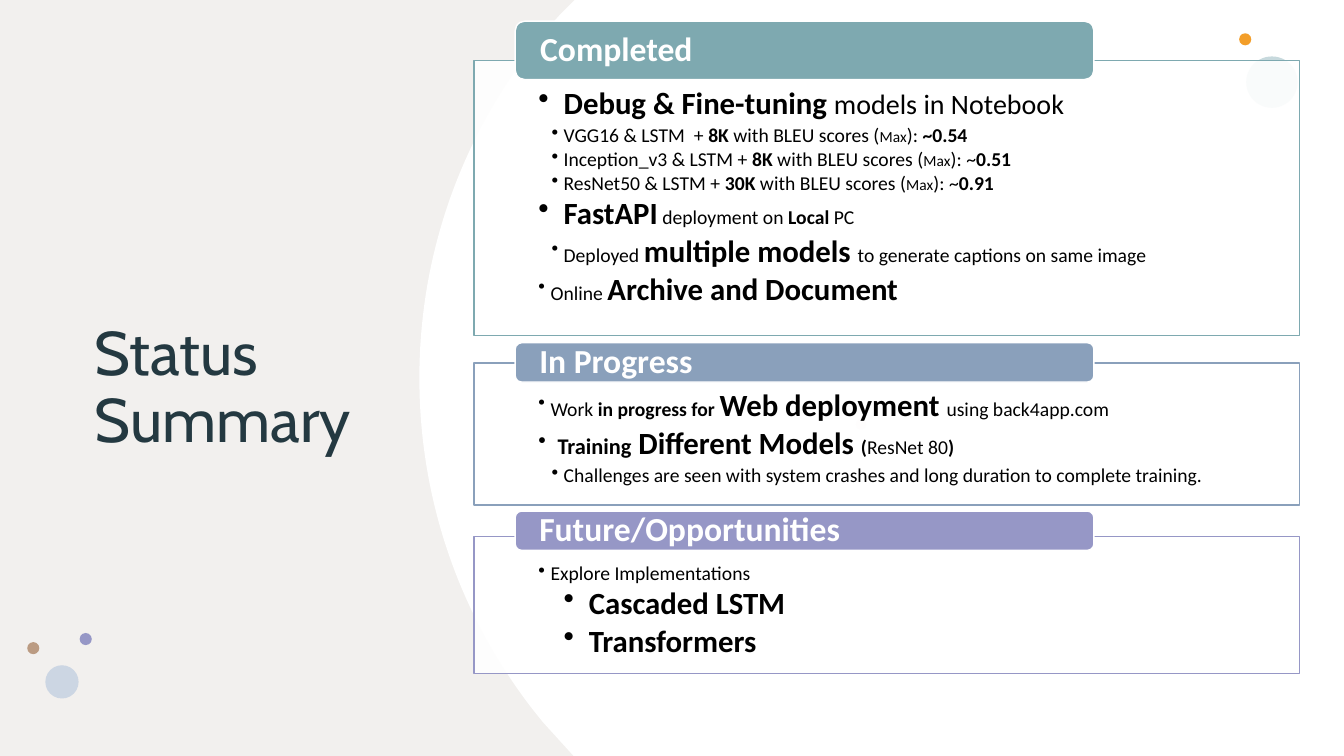
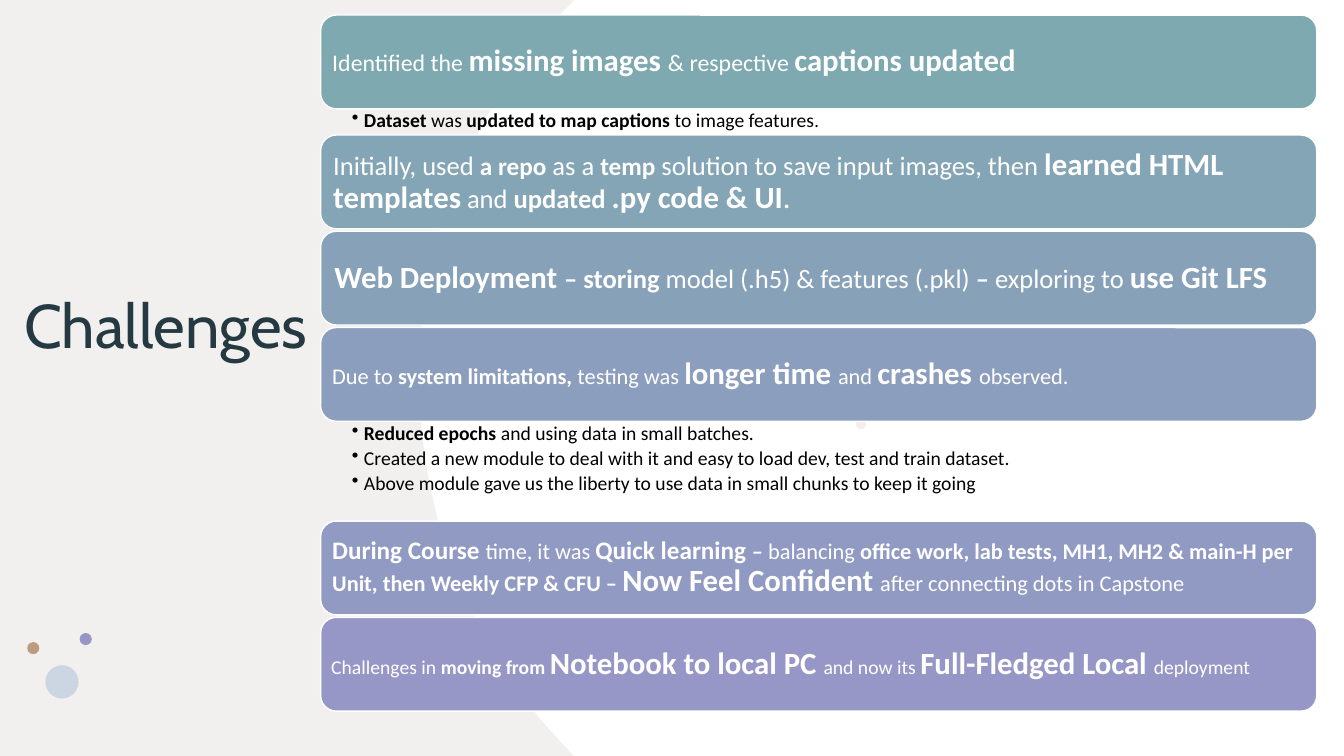
from lxml import etree
from pptx import Presentation
from pptx.dml.color import RGBColor
from pptx.enum import shapes, text
from pptx.oxml import ns
from pptx.util import Inches, Pt

WHITE = RGBColor(0xFF, 0xFF, 0xFF)
BLACK = RGBColor(0x00, 0x00, 0x00)
NAVY = RGBColor(0x24, 0x39, 0x41)
SAND = RGBColor(0xF2, 0xF0, 0xEE)
TEAL = RGBColor(0x7E, 0xA9, 0xB0)
SEA = RGBColor(0x83, 0xA5, 0xB5)
SKY = RGBColor(0x87, 0xA1, 0xB9)
STEEL = RGBColor(0x8A, 0xA0, 0xBB)
SLATE = RGBColor(0x8C, 0x9E, 0xBE)
IRIS = RGBColor(0x91, 0x9A, 0xC2)
LILAC = RGBColor(0x96, 0x97, 0xC6)
MIST = RGBColor(0xB2, 0xCB, 0xD0)
ROSE = RGBColor(0xE3, 0xBE, 0xBE)
ICE = RGBColor(0xCC, 0xD6, 0xE3)
TAN = RGBColor(0xBB, 0x9B, 0x82)
AMBER = RGBColor(0xF3, 0x9E, 0x29)

HEAD, BODY = "Cabin", "Calibri"
WIDE, HIGH = 13.33, 7.5
RECT = shapes.MSO_SHAPE.RECTANGLE
ROUND = shapes.MSO_SHAPE.ROUNDED_RECTANGLE
OVAL = shapes.MSO_SHAPE.OVAL

DOTS = [
    (8.49, 4.16, 0.1, ROSE, 28),
    (0.79, 6.28, 0.12, LILAC, 100),
    (0.45, 6.6, 0.33, ICE, 100),
    (0.27, 6.37, 0.12, TAN, 100),
]
EXTRA = [(12.36, 0.56, 0.51, MIST, 72), (12.29, 0.33, 0.12, AMBER, 100)]
CURVES = [
    [(5.39, 7.17), (4.62, 6.24), (4.16, 5.05), (4.16, 3.75)],
    [(4.16, 3.75), (4.16, 2.36), (4.69, 1.1), (5.56, 0.14)],
]


def score(model, data, lead, best):
    return (2, 0.25, 0.12, [
        (model,), (data, 14, True), (" with BLEU scores (",), ("Max", 11),
        ("): " + lead,), (best, 14, True)])


STATUS = [
    ("Completed", TEAL, 0.21, 0.58, 0.6, 2.73, [
        (1, 0.25, 0.25, [("Debug & Fine-tuning ", 22, True),
                         ("models in Notebook", 20)]),
        score("VGG16 & LSTM  + ", "8K", "", "~0.54"),
        score("Inception_v3 & LSTM + ", "8K", "~", "0.51"),
        score("ResNet50 & LSTM + ", "30K", "~", "0.91"),
        (1, 0.25, 0.25, [("FastAPI", 22, True), (" deployment on ",),
                         ("Local", 14, True), (" PC",)]),
        (2, 0.25, 0.12, [("Deployed ",), ("multiple models ", 22, True),
                         ("to generate captions on same image",)]),
        (1, 0.12, 0.12, [("Online ",), ("Archive and Document", 22, True)]),
    ]),
    ("In Progress", STEEL, 3.4, 0.39, 3.6, 1.41, [
        (1, 0.12, 0.12, [("Work ",), ("in progress for ", 14, True),
                         ("Web deployment ", 22, True),
                         ("using back4app.com",)]),
        (1, 0.19, 0.19, [("Training", 16, True),
                         (" Different Models ", 22, True), ("(", 14, True),
                         ("ResNet 80",), (")", 14, True)]),
        (2, 0.25, 0.12, [("Challenges are seen with system crashes and long "
                          "duration to complete training.",)]),
    ]),
    ("Future/Opportunities", LILAC, 5.07, 0.39, 5.32, 1.36, [
        (1, 0.12, 0.12, [("Explore Implementations",)]),
        (2, 0.5, 0.25, [("Cascaded LSTM", 22, True)]),
        (2, 0.5, 0.25, [("Transformers", 22, True)]),
    ]),
]

HURDLES = [
    (TEAL, 0.07, [("Identified the ", 17), ("missing images ", 22, True),
                  ("& respective ", 17), ("captions updated", 22, True)],
     0.26, [[("Dataset", 14, True), (" was ",),
             ("updated to map captions ", 14, True),
             ("to image features",), (".", 13)]]),
    (SEA, 0.08, [("Initially, used ", 19), ("a repo", 18, True),
                 (" as a ", 19), ("temp", 18, True),
                 (" solution to save input images, then ", 19),
                 ("learned HTML templates", 22, True), (" and ", 19),
                 ("updated ", 19, True), (".py code & UI", 22, True),
                 (".", 22)], 0.025, []),
    (SKY, 0.09, [("Web Deployment ", 22, True), ("– storing ", 19, True),
                 ("model (.h5) & features (.pkl) ", 19), ("– ", 19, True),
                 ("exploring to ", 19), ("use Git LFS", 22, True)],
     0.025, []),
    (SLATE, 0.07, [("Due to ", 16), ("system limitations, ", 16, True),
                   ("testing was ", 16), ("longer time ", 22, True),
                   ("and ", 16), ("crashes ", 22, True), ("observed.", 16)],
     0.99, [[("Reduced epochs ", 14, True),
             ("and using data in small batches.",)],
            [("Created a new module to deal with it and easy to load dev, "
              "test and train dataset.",)],
            [("Above module gave us the liberty to use data in small chunks "
              "to keep it going",)]]),
    (IRIS, 0.07, [("During Course ", 18, True), ("time, it was ", 16),
                  ("Quick learning ", 18, True), ("– ", 16, True),
                  ("balancing", 16),
                  (" office work, lab tests, MH1, MH2 & main-H per Unit, "
                   "then Weekly CFP & CFU – ", 16, True),
                  ("Now Feel Confident ", 22, True),
                  ("after connecting dots in Capstone", 16)], 0.025, []),
    (LILAC, 0.06, [("Challenges in ",), ("moving from ", 14, True),
                   ("Notebook to local PC ", 22, True), ("and now its ",),
                   ("Full-Fledged Local ", 22, True), ("deployment",)],
     0, []),
]


def put(para, words, size=14, bold=False, color=BLACK, font=BODY):
    run = para.add_run()
    run.text = words
    run.font.size = Pt(size)
    run.font.bold = bold
    run.font.name = font
    run.font.color.rgb = color


def frame(shape, pads, anchor=text.MSO_ANCHOR.TOP):
    body = shape.text_frame
    body.word_wrap = True
    body.vertical_anchor = anchor
    (body.margin_left, body.margin_top,
     body.margin_right, body.margin_bottom) = map(Inches, pads)
    return body


def line(para, runs, **style):
    para.alignment = text.PP_ALIGN.LEFT
    para.line_spacing = 0.9
    for run in runs:
        put(para, *run, **style)


def bullets(body, items, after):
    for i, (level, left, hang, runs) in enumerate(items):
        para = body.add_paragraph() if i else body.paragraphs[0]
        para.level = level
        para.line_spacing = 0.9
        para.space_after = Pt(0)
        prop = para._p.get_or_add_pPr()
        prop.set("marL", str(Inches(left)))
        prop.set("indent", str(-Inches(hang)))
        gap = prop.find(ns.qn("a:spcAft"))
        gap.remove(gap[0])
        etree.SubElement(gap, ns.qn("a:spcPct"), val=str(after * 1000))
        etree.SubElement(prop, ns.qn("a:buChar"), char="•")
        line(para, runs)


def paint(shape, color, alpha=100, edge=None):
    shape.shadow.inherit = False
    shape.fill.solid()
    shape.fill.fore_color.rgb = color
    if alpha < 100:
        tone = shape._element.spPr.find(ns.qn("a:solidFill"))[0]
        etree.SubElement(tone, ns.qn("a:alpha"), val=str(alpha * 1000))
    if edge is None:
        shape.line.fill.background()
    else:
        shape.line.color.rgb = edge
        shape.line.width = Pt(1)


def block(slide, kind, at, color, **look):
    shape = slide.shapes.add_shape(kind, *map(Inches, at))
    paint(shape, color, **look)
    return shape


def bar(slide, at, color, runs, pads):
    shape = block(slide, ROUND, at, color, edge=WHITE)
    body = frame(shape, pads, text.MSO_ANCHOR.MIDDLE)
    line(body.paragraphs[0], runs, color=WHITE)


def bend(curve, steps=40):
    for i in range(steps + 1):
        t = i / steps
        parts = ((1 - t) ** 3, 3 * t * (1 - t) ** 2, 3 * t * t * (1 - t), t ** 3)
        yield tuple(sum(w * p[axis] for w, p in zip(parts, curve))
                    for axis in (0, 1))


def page(deck, title, left, top, dots):
    slide = deck.slides.add_slide(deck.slide_layouts[6])
    slide.background.fill.solid()
    slide.background.fill.fore_color.rgb = SAND
    edge = [(WIDE, 0), (WIDE, HIGH), (5.69, HIGH)]
    for curve in CURVES:
        edge.extend(bend(curve))
    pen = slide.shapes.build_freeform(Inches(5.7), 0)
    pen.add_line_segments([(Inches(x), Inches(y)) for x, y in edge])
    paint(pen.convert_to_shape(), WHITE)
    for x, y, size, color, alpha in dots:
        block(slide, OVAL, (x, y, size, size), color, alpha=alpha)
    box = slide.shapes.add_textbox(*map(Inches, (left, top, 3.13, 5.64)))
    body = frame(box, (0.1, 0.05, 0.1, 0.05), text.MSO_ANCHOR.MIDDLE)
    line(body.paragraphs[0], [(title, 44)], color=NAVY, font=HEAD)
    return slide


def status(deck):
    slide = page(deck, "Status Summary", 0.84, 1.04, EXTRA + DOTS)
    for name, color, top, high, start, tall, items in STATUS:
        box = block(slide, RECT, (4.7, start, 8.19, tall), WHITE,
                    alpha=90, edge=color)
        bullets(frame(box, (0.64, 0.27, 0.64, 0.11)), items, 15)
        bar(slide, (5.11, top, 5.74, high), color, [(name, 24, True)],
            (0.22, 0, 0.22, 0))


def hurdles(deck):
    slide = page(deck, "Challenges", 0.14, 0.44, DOTS)
    left, wide, high, top = 3.18, 9.88, 0.93, 0.15
    for color, pad, runs, gap, notes in HURDLES:
        bar(slide, (left, top, wide, high), color, runs, [pad] * 4)
        top += high
        if notes:
            box = slide.shapes.add_textbox(
                *map(Inches, (left, top, wide, gap)))
            bullets(frame(box, (0.31, 0.02, 0.11, 0.02)),
                    [(1, 0.12, 0.12, note) for note in notes], 20)
        top += gap


def main():
    deck = Presentation()
    deck.slide_width = Inches(WIDE)
    deck.slide_height = Inches(HIGH)
    status(deck)
    hurdles(deck)
    deck.save("out.pptx")


if __name__ == "__main__":
    main()
